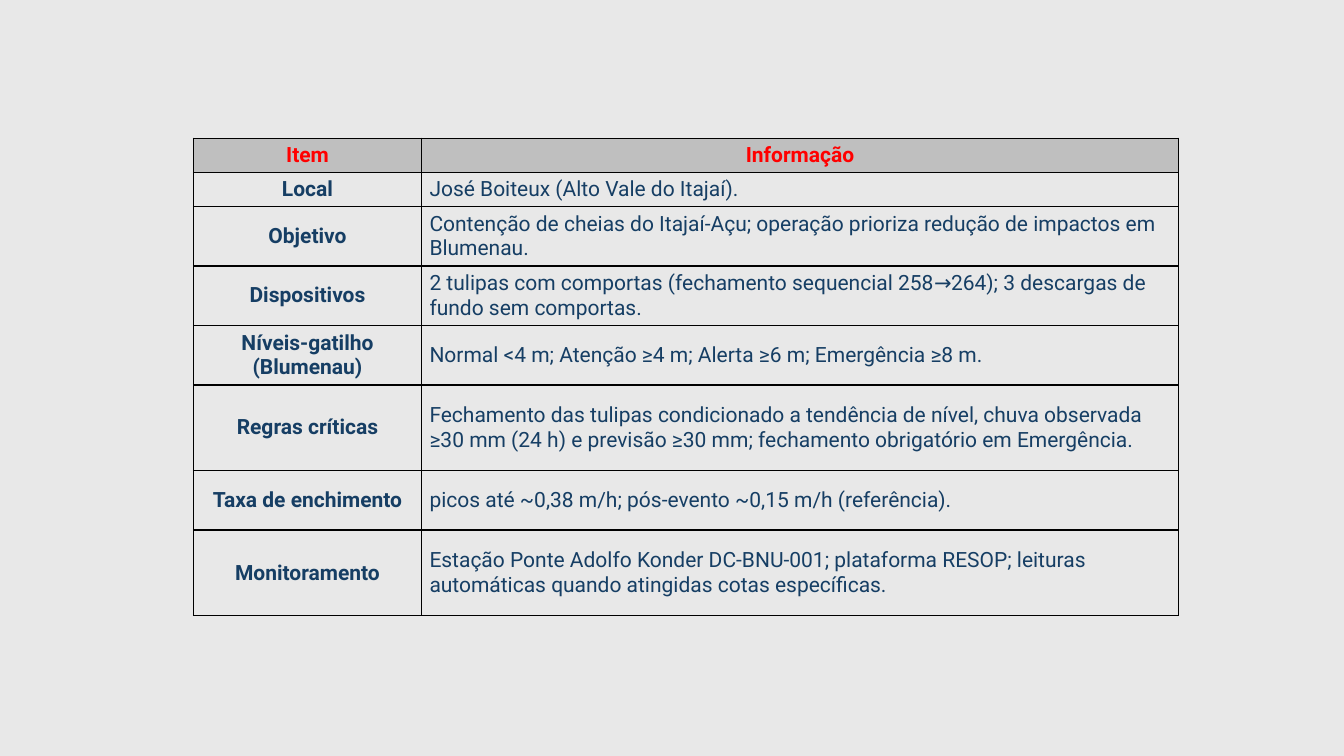
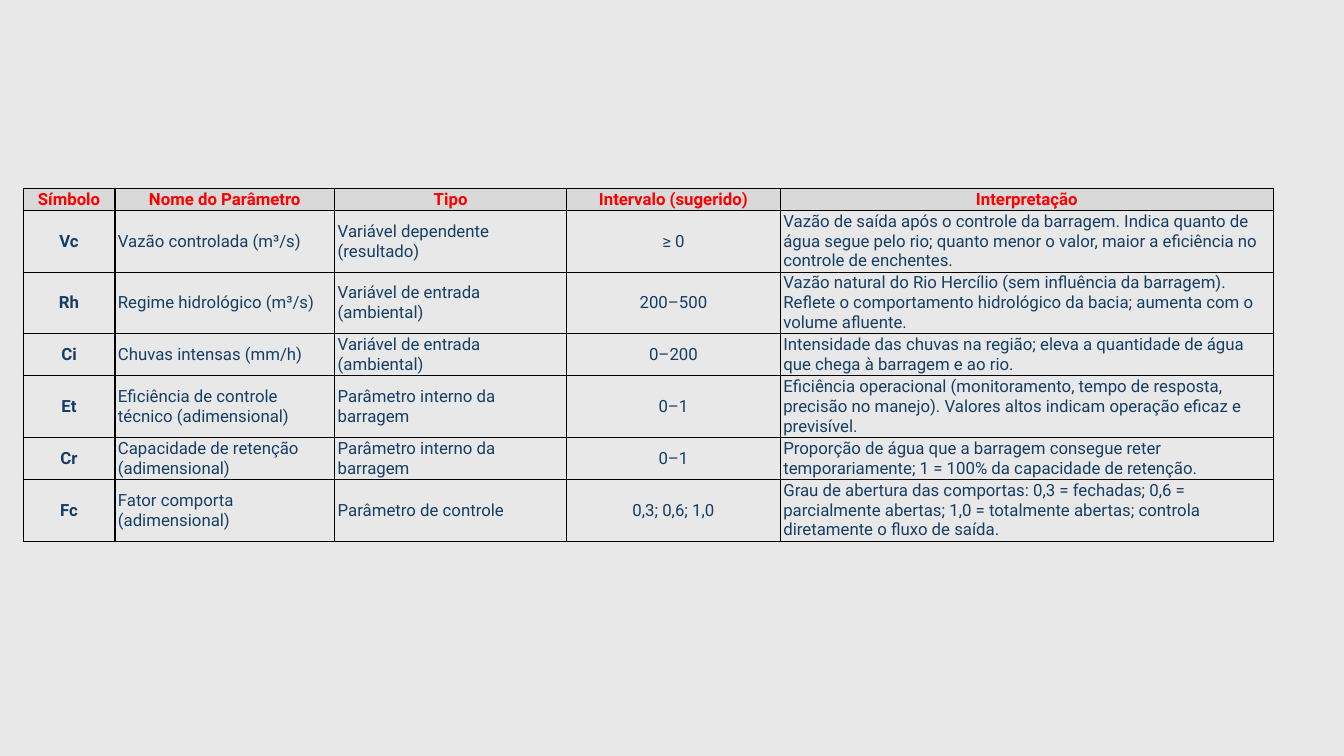
"""Builds two slides with tables on a dam: key facts and model parameters."""
from lxml.etree import SubElement
from pptx import Presentation
from pptx.dml.color import RGBColor
from pptx.enum.text import MSO_ANCHOR, PP_ALIGN
from pptx.oxml.ns import qn
from pptx.util import Inches, Pt

COLORS = {
    "background": "E8E8E8",
    "heading": "FF0000",
    "body": "163E64",
    "border": "000000",
}
FONT = "Roboto"
BORDER_WIDTH = Pt(1)

DAM_FACTS = {
    "left": 1.92, "top": 1.37,
    "columns": [2.26, 7.51],
    "heights": [0.34, 0.34, 0.59, 0.59, 0.59, 0.85, 0.59, 0.85],
    "centered": {0},
    "size": 15, "margins": (0.08, 0.04), "header_fill": "BFBFBF",
    "rows": [
        ("Item", "Informação"),
        ("Local", "José Boiteux (Alto Vale do Itajaí)."),
        ("Objetivo", "Contenção de cheias do Itajaí-Açu; operação prioriza redução de impactos em Blumenau."),
        ("Dispositivos", "2 tulipas com comportas (fechamento sequencial 258→264); 3 descargas de fundo sem comportas."),
        ("Níveis-gatilho (Blumenau)", "Normal <4 m; Atenção ≥4 m; Alerta ≥6 m; Emergência ≥8 m."),
        ("Regras críticas", "Fechamento das tulipas condicionado a tendência de nível, chuva observada ≥30 mm (24 h) "
         "e previsão ≥30 mm; fechamento obrigatório em Emergência."),
        ("Taxa de enchimento", "picos até ~0,38 m/h; pós-evento ~0,15 m/h (referência)."),
        ("Monitoramento", "Estação Ponte Adolfo Konder DC-BNU-001; plataforma RESOP; leituras automáticas "
         "quando atingidas cotas específicas."),
    ],
}

MODEL_PARAMETERS = {
    "left": 0.23, "top": 1.87,
    "columns": [0.91, 2.18, 2.3, 2.12, 4.89],
    "heights": [0.22, 0.61, 0.61, 0.42, 0.61, 0.42, 0.61],
    "centered": {0, 3},
    "size": 12, "margins": (0.03, 0.01), "header_fill": "D9D9D9",
    "rows": [
        ("Símbolo", "Nome do Parâmetro", "Tipo", "Intervalo (sugerido)", "Interpretação"),
        ("Vc", "Vazão controlada (m³/s)", "Variável dependente (resultado)", "≥ 0",
         "Vazão de saída após o controle da barragem. Indica quanto de água segue pelo rio; "
         "quanto menor o valor, maior a eficiência no controle de enchentes."),
        ("Rh", "Regime hidrológico (m³/s)", "Variável de entrada (ambiental)", "200–500",
         "Vazão natural do Rio Hercílio (sem influência da barragem). Reflete o comportamento "
         "hidrológico da bacia; aumenta com o volume afluente."),
        ("Ci", "Chuvas intensas (mm/h)", "Variável de entrada (ambiental)", "0–200",
         "Intensidade das chuvas na região; eleva a quantidade de água que chega à barragem e ao rio."),
        ("Et", "Eficiência de controle técnico (adimensional)", "Parâmetro interno da barragem", "0–1",
         "Eficiência operacional (monitoramento, tempo de resposta, precisão no manejo). "
         "Valores altos indicam operação eficaz e previsível."),
        ("Cr", "Capacidade de retenção (adimensional)", "Parâmetro interno da barragem", "0–1",
         "Proporção de água que a barragem consegue reter temporariamente; "
         "1 = 100% da capacidade de retenção."),
        ("Fc", "Fator comporta (adimensional)", "Parâmetro de controle", "0,3; 0,6; 1,0",
         "Grau de abertura das comportas: 0,3 = fechadas; 0,6 = parcialmente abertas; "
         "1,0 = totalmente abertas; controla diretamente o fluxo de saída."),
    ],
}


def rgb(name):
    return RGBColor.from_string(COLORS[name])


def add_borders(cell):
    properties = cell._tc.get_or_add_tcPr()
    for position, side in enumerate(("lnL", "lnR", "lnT", "lnB")):
        line = SubElement(properties, qn(f"a:{side}"), w=str(BORDER_WIDTH))
        solid = SubElement(line, qn("a:solidFill"))
        SubElement(solid, qn("a:srgbClr"), val=COLORS["border"])
        properties.insert(position, line)


def format_cell(cell, text, content, is_header, column):
    horizontal, vertical = (Inches(margin) for margin in content["margins"])
    cell.margin_left = cell.margin_right = horizontal
    cell.margin_top = cell.margin_bottom = vertical
    cell.vertical_anchor = MSO_ANCHOR.MIDDLE
    if is_header:
        cell.fill.solid()
        cell.fill.fore_color.rgb = RGBColor.from_string(content["header_fill"])
    else:
        cell.fill.background()
    add_borders(cell)

    cell.text_frame.text = text
    paragraph = cell.text_frame.paragraphs[0]
    centered = is_header or column in content["centered"]
    paragraph.alignment = PP_ALIGN.CENTER if centered else PP_ALIGN.LEFT
    font = paragraph.runs[0].font
    font.name = FONT
    font.size = Pt(content["size"])
    font.bold = is_header or column == 0
    font.color.rgb = rgb("heading" if is_header else "body")


def add_table_slide(prs, content):
    slide = prs.slides.add_slide(prs.slide_layouts[6])
    rows, columns, heights = content["rows"], content["columns"], content["heights"]
    table = slide.shapes.add_table(
        len(rows), len(columns), Inches(content["left"]), Inches(content["top"]),
        Inches(sum(columns)), Inches(sum(heights))).table
    table.first_row = table.horz_banding = False
    for column, width in zip(table.columns, columns):
        column.width = Inches(width)
    for row, height in zip(table.rows, heights):
        row.height = Inches(height)
    for r, texts in enumerate(rows):
        for c, text in enumerate(texts):
            format_cell(table.cell(r, c), text, content, r == 0, c)


def main():
    prs = Presentation()
    prs.slide_width, prs.slide_height = Inches(13.33), Inches(7.5)
    background = prs.slide_master.background.fill
    background.solid()
    background.fore_color.rgb = rgb("background")
    for content in (DAM_FACTS, MODEL_PARAMETERS):
        add_table_slide(prs, content)
    prs.save("out.pptx")


if __name__ == "__main__":
    main()
